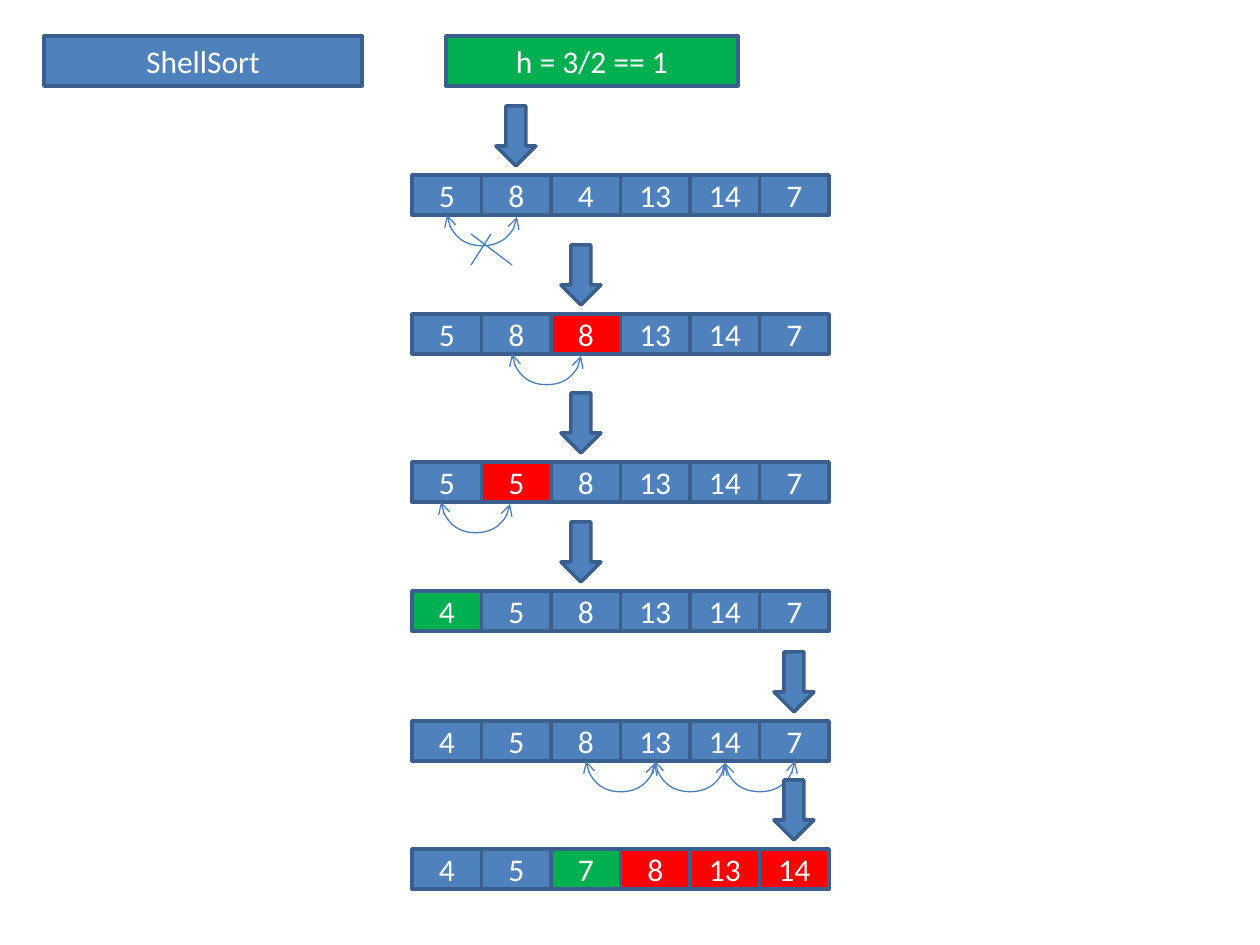
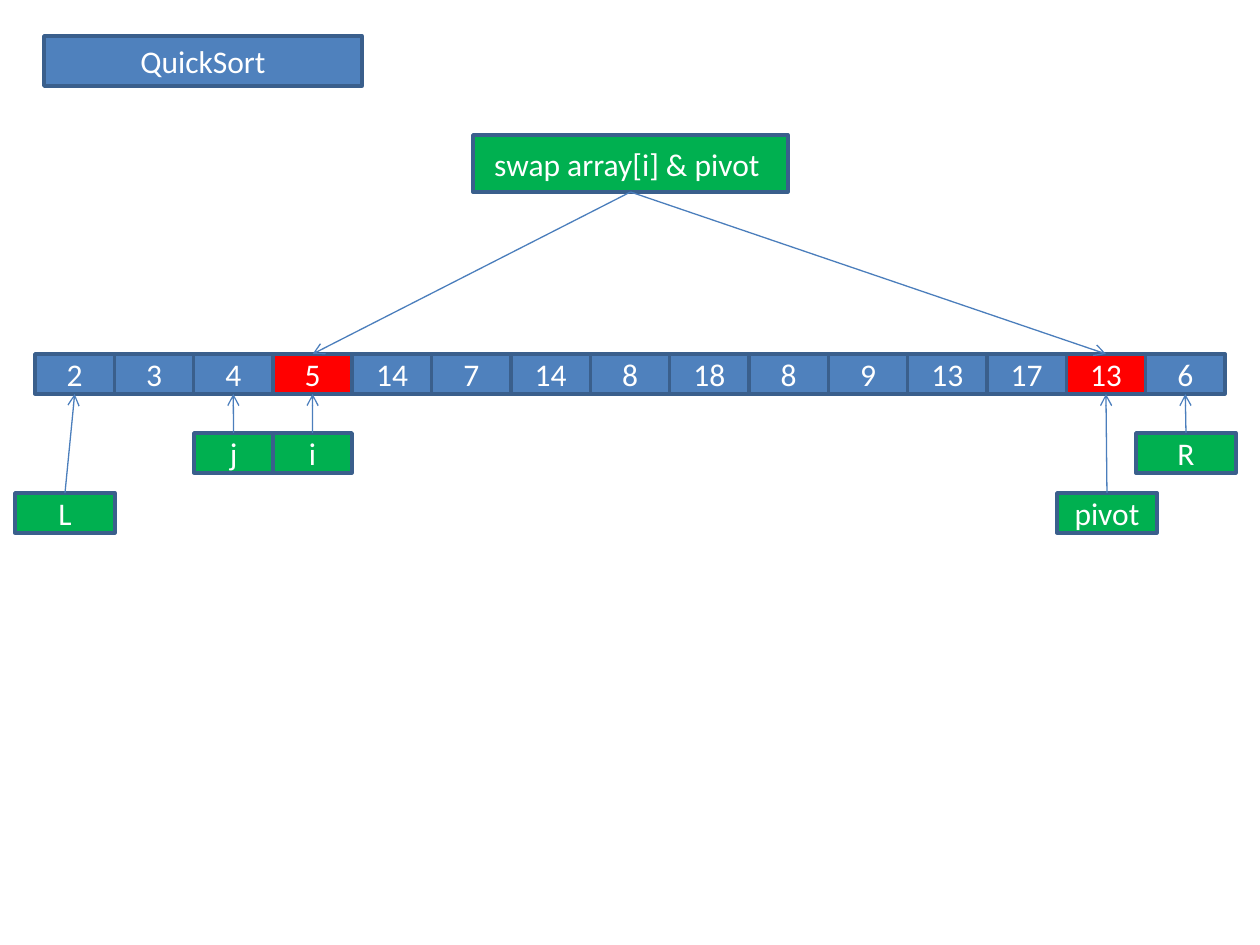
from lxml import etree
from pptx import Presentation
from pptx import util as u
from pptx.dml.color import RGBColor
from pptx.enum import shapes, text
from pptx.oxml import ns

PX = u.Inches(1) / 126
BLUE = RGBColor(0x4F, 0x81, 0xBD)
EDGE = RGBColor(0x3A, 0x5F, 0x8C)
WIRE = RGBColor(0x4B, 0x7E, 0xBC)
GREEN = RGBColor(0x00, 0xB0, 0x50)
RED = RGBColor(0xFF, 0x00, 0x00)
WHITE = RGBColor(0xFF, 0xFF, 0xFF)
FONT = "Calibri"
HIGH = 40  # height of a cell or tag
RECT = shapes.MSO_SHAPE.RECTANGLE
DOWN = shapes.MSO_SHAPE.DOWN_ARROW
LINE = shapes.MSO_CONNECTOR.STRAIGHT
CURVE = shapes.MSO_CONNECTOR.CURVE

# Each step: row top, values, fills by index, left of the down arrow, arcs as (from x, to x)
STEPS = [
    (175, (5, 8, 4, 13, 14, 7), {}, 496, [(447, 517)]),
    (314, (5, 8, 8, 13, 14, 7), {2: RED}, 561, [(512, 581)]),
    (462, (5, 5, 8, 13, 14, 7), {1: RED}, 561, [(441, 510)]),
    (591, (4, 5, 8, 13, 14, 7), {0: GREEN}, 561, []),
    (721, (4, 5, 8, 13, 14, 7), {}, 774, [(795, 725), (655, 725), (586, 655)]),
    (849, (4, 5, 7, 8, 13, 14), {2: GREEN, 3: RED, 4: RED, 5: RED}, 774, []),
]
ARRAY = (2, 3, 4, 5, 14, 7, 14, 8, 18, 8, 9, 13, 17, 13, 6)
# Each tag: label, left, top, width, index of the cell it points at
TAGS = [
    ("i", 273, 433, 79, 3),
    ("j", 194, 433, 79, 2),
    ("pivot", 1057, 493, 100, 13),
    ("R", 1136, 433, 100, 14),
    ("L", 15, 493, 100, 0),
]


def emu(*px):
    return [round(n * PX) for n in px]


def paint(shape, fill, label=""):
    shape.fill.solid()
    shape.fill.fore_color.rgb = fill
    shape.line.color.rgb = EDGE
    shape.line.width = u.Pt(2)
    shape.shadow.inherit = False
    frame = shape.text_frame
    frame.text = label
    frame.vertical_anchor = text.MSO_ANCHOR.MIDDLE
    for par in frame.paragraphs:
        par.alignment = text.PP_ALIGN.CENTER
        for run in par.runs:
            run.font.name = FONT
            run.font.size = u.Pt(18)
            run.font.color.rgb = WHITE


def add_box(slide, label, left, top, wide, high, fill=BLUE, kind=RECT):
    box = slide.shapes.add_shape(kind, *emu(left, top, wide, high))
    paint(box, fill, label)
    return box


def add_page(deck, name):
    """Add a title-only slide whose title is a rounded blue box."""
    slide = deck.slides.add_slide(deck.slide_layouts[5])
    title = slide.shapes.title
    title.left, title.top, title.width, title.height = emu(44, 36, 318, 50)
    geom = etree.SubElement(title._element.spPr, ns.qn("a:prstGeom"), prst="roundRect")
    etree.SubElement(geom, ns.qn("a:avLst"))
    paint(title, BLUE, name)
    title.text_frame.auto_size = text.MSO_AUTO_SIZE.NONE
    return slide


def add_row(slide, left, top, wide, values, fills):
    """Split the width evenly into one cell for each value."""
    step = wide / len(values)
    return [
        add_box(slide, str(val), left + i * step, top, step, HIGH, fills.get(i, BLUE))
        for i, val in enumerate(values)
    ]


def style_wire(wire, *ends):
    """Format a connector; ends holds headEnd and/or tailEnd, in that order."""
    wire.line.color.rgb = WIRE
    wire.line.width = u.Pt(0.75)
    props = wire._element.spPr
    for end in ends:
        etree.SubElement(props.find(ns.qn("a:ln")), ns.qn("a:" + end), type="arrow")
    etree.SubElement(props, ns.qn("a:effectLst"))


def add_line(slide, *ends):
    style_wire(slide.shapes.add_connector(LINE, *emu(*ends)))


def add_link(slide, start, out, stop, into):
    wire = slide.shapes.add_connector(LINE, 0, 0, 0, 0)
    wire.begin_connect(start, out)
    wire.end_connect(stop, into)
    style_wire(wire, "tailEnd")


def add_arc(slide, start, stop, top, drop=2, dip=31):
    """Hang a two-headed curve below top; its end lies drop lower than its start."""
    span = abs(stop - start)
    left = (start + stop - drop) / 2
    high = top + (drop - span) / 2
    wire = slide.shapes.add_connector(CURVE, *emu(left, high, left + drop, high + span))
    props = wire._element.spPr
    frame = props.find(ns.qn("a:xfrm"))
    if stop > start:
        frame.set("flipH", "1")
    wire.rotation = 270 if stop > start else 90
    guides = props.find(ns.qn("a:prstGeom")).find(ns.qn("a:avLst"))
    bend = round(dip / drop * 100000)
    etree.SubElement(guides, ns.qn("a:gd"), name="adj1", fmla=f"val {bend}")
    style_wire(wire, "headEnd", "tailEnd")


def draw_shell(deck):
    slide = add_page(deck, "ShellSort")
    add_box(slide, "h = 3/2 == 1", 446, 36, 292, 50, GREEN)
    for top, values, fills, mark, arcs in STEPS:
        add_row(slide, 412, top, 417, values, fills)
        for start, stop in arcs:
            add_arc(slide, start, stop, top + HIGH)
        add_box(slide, "", mark, top - 69, 40, 60, kind=DOWN)
    add_line(slide, 471, 234, 512, 265)
    add_line(slide, 491, 234, 471, 265)


def draw_quick(deck):
    slide = add_page(deck, "QuickSort")
    cells = add_row(slide, 35, 354, 1190, ARRAY, {3: RED, 13: RED})
    for label, left, top, wide, i in TAGS:
        tag = add_box(slide, label, left, top, wide, HIGH, GREEN)
        add_link(slide, tag, 0, cells[i], 2)
    swap = add_box(slide, "swap array[i] & pivot ", 473, 135, 315, 57, GREEN)
    for i in (13, 3):
        add_link(slide, swap, 2, cells[i], 0)


def main():
    deck = Presentation()
    deck.slide_width, deck.slide_height = u.Inches(10), u.Inches(7.5)
    draw_shell(deck)
    draw_quick(deck)
    deck.save("out.pptx")


if __name__ == "__main__":
    main()
